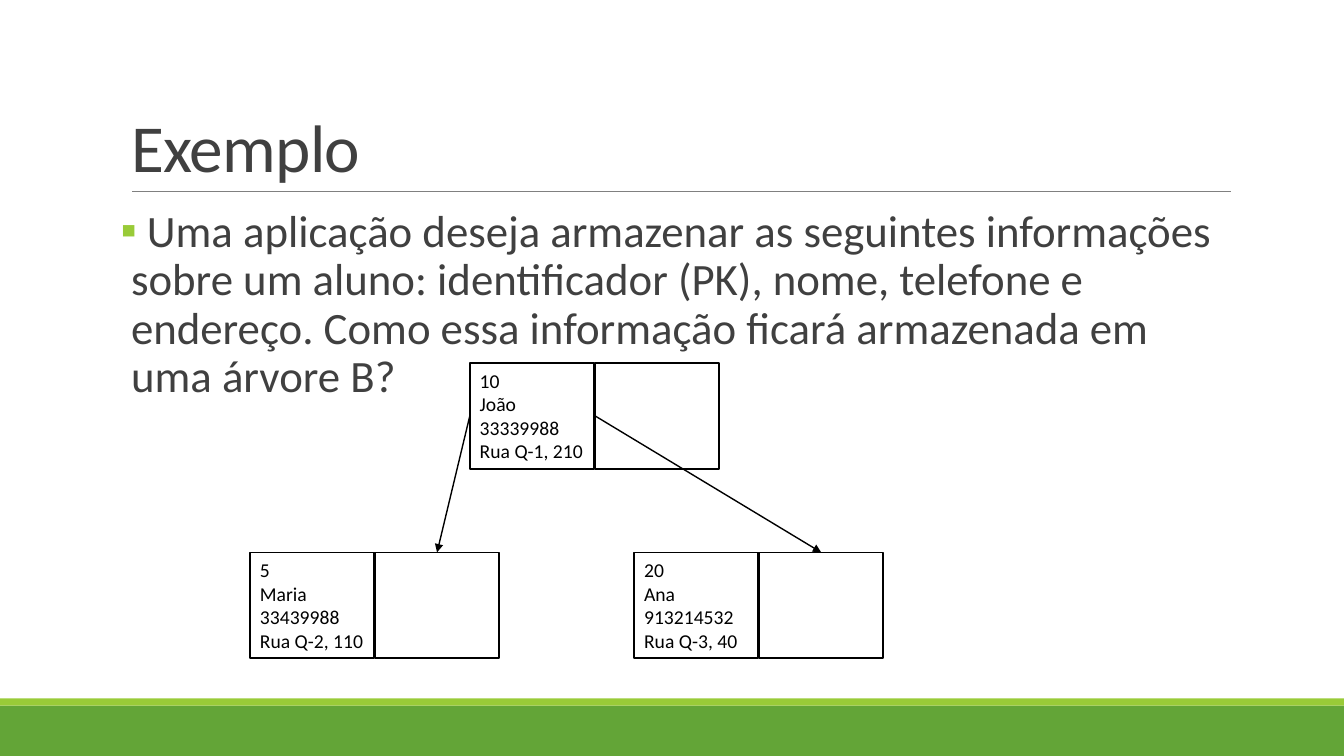
from lxml import etree
from pptx import Presentation
from pptx import util as u
from pptx.dml import color
from pptx.enum import shapes, text
from pptx.oxml import ns

CELL_W, CELL_H, PITCH = 1.23, 1.05, 1.24


def rgb(value):
    return color.RGBColor.from_string(value)


def box(x, y, w, h):
    return [u.Inches(v) for v in (x, y, w, h)]


def add_xml(parent, tag, **attrs):
    return etree.SubElement(parent, ns.qn(tag), attrs)


def add_text(tf, content, size, fill="000000", line=None, before=0, after=0):
    tf.text = content
    for p in tf.paragraphs:
        p.alignment = text.PP_ALIGN.LEFT
        p.space_before, p.space_after = u.Pt(before), u.Pt(after)
        if line:
            p.line_spacing = line
        for r in p.runs:
            r.font.name, r.font.size = "Calibri", u.Pt(size)
            r.font.color.rgb = rgb(fill)


def add_rect(parent, x, y, w, h, fill, line=None):
    sp = parent.add_shape(shapes.MSO_SHAPE.RECTANGLE, *box(x, y, w, h))
    sp.shadow.inherit = False
    sp.fill.solid()
    sp.fill.fore_color.rgb = rgb(fill)
    if line:
        sp.line.color.rgb = rgb(line)
        sp.line.width = u.Pt(1.25)
    else:
        sp.line.fill.background()
    return sp


def add_line(s, x1, y1, x2, y2, fill, width):
    cx = s.shapes.add_connector(shapes.MSO_CONNECTOR.STRAIGHT, *box(x1, y1, x2, y2))
    cx.line.color.rgb = rgb(fill)
    cx.line.width = u.Pt(width)
    add_xml(cx._element.spPr, "a:effectLst")
    return cx


def add_arrow(s, start, end):
    cx = add_line(s, 0, 0, 1, 1, "000000", 1)
    cx.begin_connect(start, 1)
    cx.end_connect(end, 0)
    add_xml(cx.line._get_or_add_ln(), "a:tailEnd", type="triangle")


def add_node(s, x, y, record, text_w=CELL_W):
    grp = s.shapes.add_group_shape()
    data = add_rect(grp.shapes, x, y, CELL_W, CELL_H, "FFFFFF", "000000")
    tb = grp.shapes.add_textbox(*box(x, y + 0.01, text_w, 1.04))
    tf = tb.text_frame
    tf.word_wrap = False
    tf.auto_size = text.MSO_AUTO_SIZE.SHAPE_TO_FIT_TEXT
    add_text(tf, "\n".join(record), 14)
    empty = add_rect(s.shapes, x + PITCH, y, CELL_W, CELL_H, "FFFFFF", "000000")
    return data, empty


def place(sp, x, y, w, h, anchor):
    sp.left, sp.top, sp.width, sp.height = box(x, y, w, h)
    tf = sp.text_frame
    tf.word_wrap = True
    tf.auto_size = text.MSO_AUTO_SIZE.NONE
    tf.vertical_anchor = anchor
    return tf


def add_title(s, content):
    tf = place(s.shapes.title, 1.2, 0.31, 11, 1.59, text.MSO_ANCHOR.BOTTOM)
    add_text(tf, content, 48, "404040", line=0.85)
    tf.paragraphs[0].runs[0].font._element.set("spc", "-50")


def add_body(s, content):
    tf = place(s.placeholders[1], 1.2, 2.02, 11, 4.4, text.MSO_ANCHOR.TOP)
    tf.margin_left = tf.margin_right = 0
    add_text(tf, content, 32, "404040", line=0.9, before=12, after=2)
    pPr = tf.paragraphs[0]._p.get_or_add_pPr()
    indent = u.Inches(0.1)
    pPr.set("marL", str(indent))
    pPr.set("indent", str(-indent))
    add_xml(add_xml(pPr, "a:buClr"), "a:srgbClr", val="99CB38")
    add_xml(pPr, "a:buFont", typeface="Calibri")
    add_xml(pPr, "a:buChar", char="▪")


def main():
    prs = Presentation()
    prs.slide_width, prs.slide_height = u.Inches(13.33), u.Inches(7.5)
    s = prs.slides.add_slide(prs.slide_layouts[1])

    add_rect(s.shapes, 0, 7, 13.33, 0.5, "63A537")
    add_rect(s.shapes, 0, 6.93, 13.33, 0.07, "99CB38")
    add_line(s, 1.31, 1.9, 12.21, 1.9, "808080", 0.5)
    add_title(s, "Exemplo")
    add_body(s, " Uma aplicação deseja armazenar as seguintes informações sobre um "
                "aluno: identificador (PK), nome, telefone e endereço. Como essa "
                "informação ficará armazenada em uma árvore B?")

    root = add_node(s, 4.66, 3.6, ["10", "João", "33339988", "Rua Q-1, 210"])
    left = add_node(s, 2.48, 5.48, ["5", "Maria", "33439988", "Rua Q-2, 110"])
    right = add_node(s, 6.29, 5.48, ["20", "Ana", "913214532", "Rua Q-3, 40"], 1.13)
    for parent, child in zip(root, (left, right)):
        add_arrow(s, parent, child[1])

    prs.save("out.pptx")


if __name__ == "__main__":
    main()
